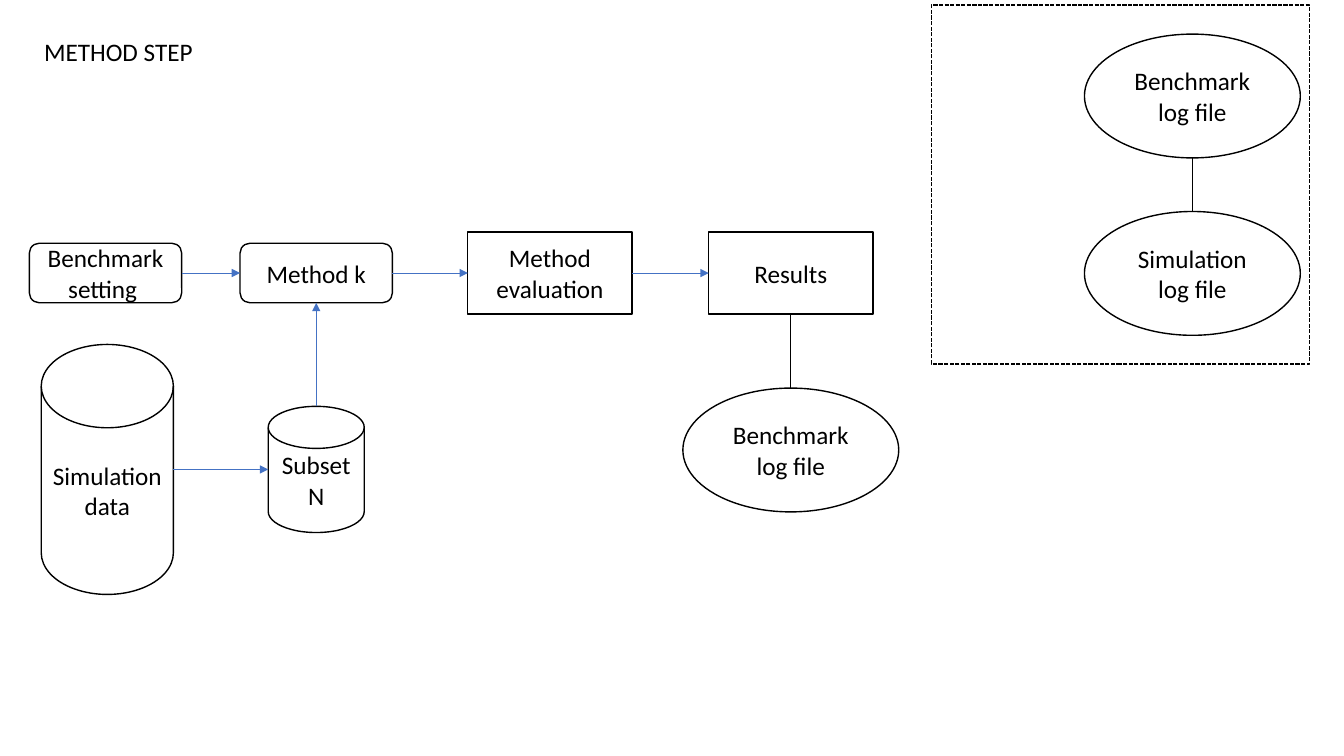
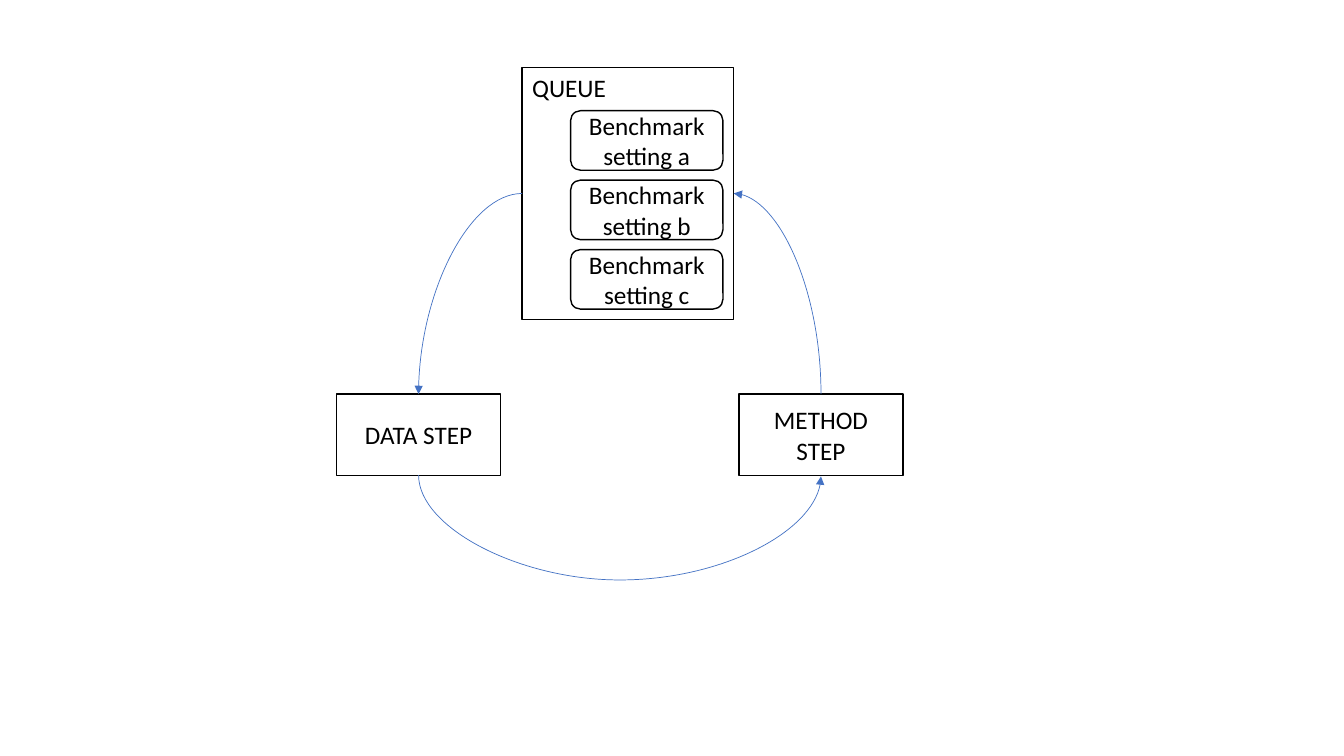
import pptx
import pptx.util
import pptx.dml.color
import pptx.enum.dml
import pptx.enum.shapes
import pptx.enum.text
import pptx.oxml.ns
import lxml.etree

Cm = pptx.util.Cm
Pt = pptx.util.Pt
qn = pptx.oxml.ns.qn
MSO = pptx.enum.shapes.MSO_SHAPE
LINE = pptx.enum.shapes.MSO_CONNECTOR
ALIGN = pptx.enum.text.PP_ALIGN
ANCHOR = pptx.enum.text.MSO_ANCHOR

COLORS = {"ink": "000000", "paper": "FFFFFF", "arrow": "4472C4"}
FONT = "Calibri"
TOP, LEFT, BOTTOM, RIGHT = range(4)
SIZES = {
    MSO.RECTANGLE: (4.14, 2.06),
    MSO.ROUNDED_RECTANGLE: (3.84, 1.5),
    MSO.OVAL: (5.44, 3.12),
}
JOINABLE = (MSO.RECTANGLE, MSO.ROUNDED_RECTANGLE)


def rgb(name):
    return pptx.dml.color.RGBColor.from_string(COLORS[name])


def write(sp, text, align, anchor):
    tf = sp.text_frame
    tf.word_wrap = True
    tf.vertical_anchor = anchor
    tf.text = text
    p = tf.paragraphs[0]
    p.alignment = align
    for r in p.runs:
        r.font.name = FONT
        r.font.size = Pt(18)
        r.font.color.rgb = rgb("ink")


def add_node(slide, kind, x, y, text="", size=None, align=ALIGN.CENTER, anchor=ANCHOR.MIDDLE):
    w, h = size or SIZES[kind]
    sp = slide.shapes.add_shape(kind, Cm(x), Cm(y), Cm(w), Cm(h))
    sp.shadow.inherit = False
    sp.fill.solid()
    sp.fill.fore_color.rgb = rgb("paper")
    sp.line.color.rgb = rgb("ink")
    sp.line.width = Pt(1)
    write(sp, text, align, anchor)
    return sp


def add_label(slide, x, y, w, h, text):
    sp = slide.shapes.add_textbox(Cm(x), Cm(y), Cm(w), Cm(h))
    write(sp, text, ALIGN.LEFT, ANCHOR.TOP)


def side_point(sp, side):
    cx, cy = sp.left + sp.width // 2, sp.top + sp.height // 2
    return {
        TOP: (cx, sp.top),
        LEFT: (sp.left, cy),
        BOTTOM: (cx, sp.top + sp.height),
        RIGHT: (sp.left + sp.width, cy),
    }[side]


def add_link(slide, a, a_side, b, b_side, arrow=True, kind=LINE.STRAIGHT):
    c = slide.shapes.add_connector(kind, *side_point(a, a_side), *side_point(b, b_side))
    if a.auto_shape_type in JOINABLE:
        c.begin_connect(a, a_side)
    if b.auto_shape_type in JOINABLE:
        c.end_connect(b, b_side)
    c.line.color.rgb = rgb("arrow" if arrow else "ink")
    c.line.width = Pt(0.5 if arrow else 0.75)
    if arrow:
        ln = c.element.spPr.find(qn("a:ln"))
        lxml.etree.SubElement(ln, qn("a:tailEnd"), type="triangle")
    lxml.etree.SubElement(c.element.spPr, qn("a:effectLst"))
    return c


def add_curve(slide, a, a_side, b, b_side, depth=None):
    c = add_link(slide, a, a_side, b, b_side, kind=LINE.CURVE)
    geom = c.element.spPr.find(qn("a:prstGeom"))
    geom.set("prst", "curvedConnector3" if depth else "curvedConnector2")
    if a_side in (TOP, BOTTOM):
        turn_upright(c)
    if depth:
        av = geom.find(qn("a:avLst"))
        ratio = round(Cm(depth) / c.width * 100000)
        lxml.etree.SubElement(av, qn("a:gd"), name="adj1", fmla=f"val {ratio}")


def turn_upright(c):
    x1, y1, x2, y2 = c.begin_x, c.begin_y, c.end_x, c.end_y
    w, h = max(abs(y2 - y1), Cm(0.03)), abs(x2 - x1)
    c.left, c.top = (x1 + x2 - w) // 2, (y1 + y2 - h) // 2
    c.width, c.height = w, h
    xfrm = c.element.spPr.find(qn("a:xfrm"))
    xfrm.set("rot", str(270 * 60000))
    xfrm.set("flipH", str(int(y2 >= y1)))
    xfrm.set("flipV", str(int(x2 < x1)))


def build_method_step(slide):
    data = add_node(slide, MSO.FLOWCHART_MAGNETIC_DISK, 1.04, 8.68, "Simulation data", (3.33, 6.3))
    subset = add_node(slide, MSO.FLOWCHART_MAGNETIC_DISK, 6.76, 10.24, "Subset N", (2.42, 3.18))
    setting = add_node(slide, MSO.ROUNDED_RECTANGLE, 0.74, 6.13, "Benchmark setting ")
    method = add_node(slide, MSO.ROUNDED_RECTANGLE, 6.05, 6.13, "Method k")
    evaluation = add_node(slide, MSO.RECTANGLE, 11.79, 5.85, "Method evaluation")
    results = add_node(slide, MSO.RECTANGLE, 17.86, 5.85, "Results")
    results_log = add_node(slide, MSO.OVAL, 17.21, 9.78, "Benchmark log file")

    flow = [setting, method, evaluation, results]
    for a, b in [(data, subset), *zip(flow, flow[1:])]:
        add_link(slide, a, RIGHT, b, LEFT)
    add_link(slide, subset, TOP, method, BOTTOM)
    add_link(slide, results, BOTTOM, results_log, TOP, arrow=False)

    frame = add_node(slide, MSO.RECTANGLE, 23.47, 0.13, size=(9.53, 9.04))
    frame.line.dash_style = pptx.enum.dml.MSO_LINE.SQUARE_DOT
    benchmark_log = add_node(slide, MSO.OVAL, 27.33, 0.86, "Benchmark log file")
    simulation_log = add_node(slide, MSO.OVAL, 27.33, 5.33, "Simulation log file")
    add_link(slide, benchmark_log, BOTTOM, simulation_log, TOP, arrow=False)
    add_label(slide, 0.86, 0.79, 11.46, 1.02, "METHOD STEP")


def build_queue_cycle(slide):
    data_step = add_node(slide, MSO.RECTANGLE, 8.48, 9.93, "DATA STEP")
    method_step = add_node(slide, MSO.RECTANGLE, 18.62, 9.93, "METHOD STEP")
    queue = add_node(slide, MSO.RECTANGLE, 13.16, 1.7, "QUEUE", (5.33, 6.35), ALIGN.LEFT, ANCHOR.TOP)
    for i, letter in enumerate("abc"):
        add_node(slide, MSO.ROUNDED_RECTANGLE, 14.38, 2.79 + i * 1.75, f"Benchmark setting {letter}")
    add_curve(slide, queue, LEFT, data_step, TOP)
    add_curve(slide, data_step, BOTTOM, method_step, BOTTOM, depth=2.64)
    add_curve(slide, method_step, TOP, queue, RIGHT)


def main():
    prs = pptx.Presentation()
    prs.slide_width, prs.slide_height = Cm(33.87), Cm(19.05)
    for build in (build_method_step, build_queue_cycle):
        build(prs.slides.add_slide(prs.slide_layouts[6]))
    prs.save("out.pptx")


if __name__ == "__main__":
    main()
